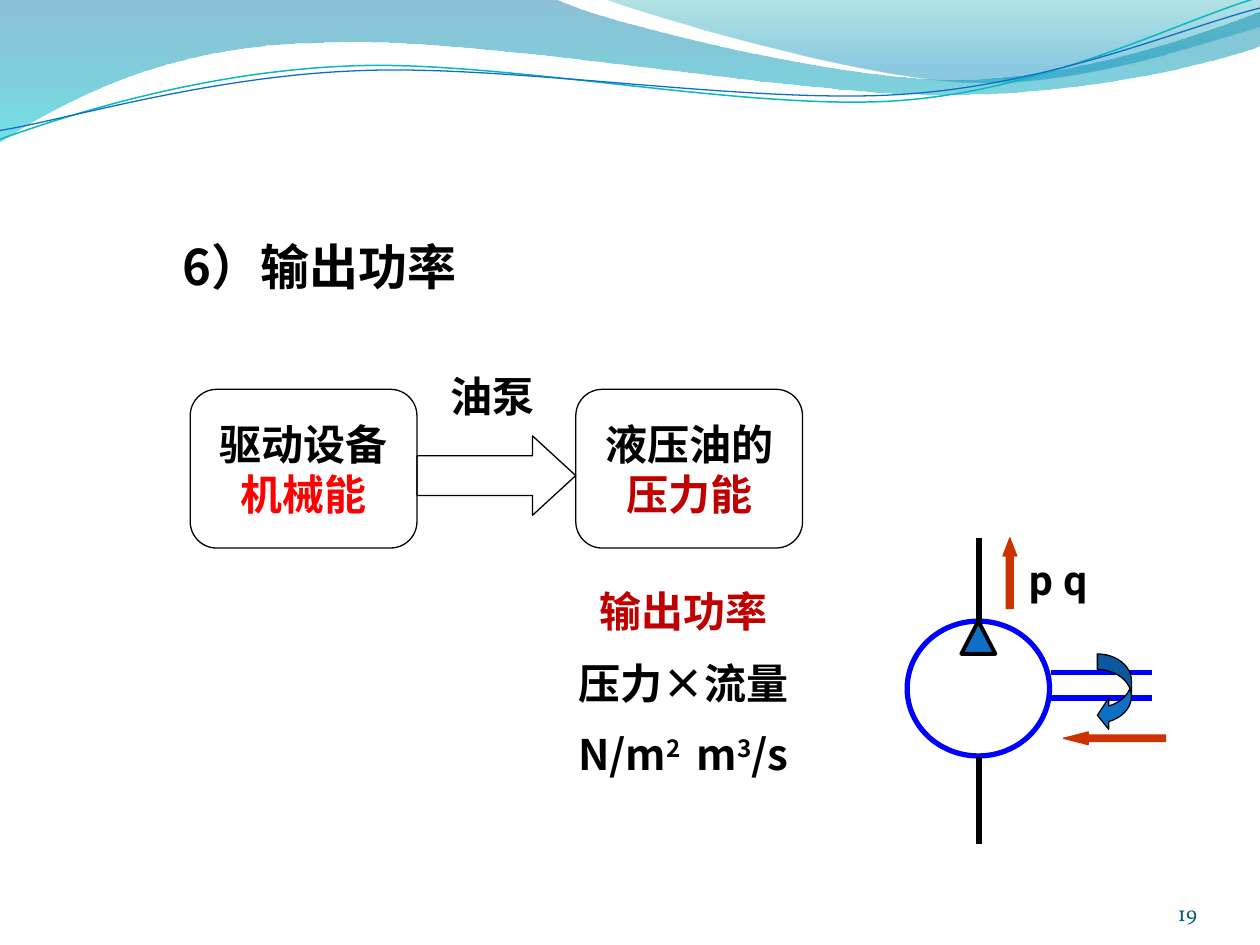
from lxml.etree import SubElement
from pptx import Presentation
from pptx.dml.color import RGBColor
from pptx.enum.shapes import MSO_CONNECTOR, MSO_SHAPE as Shape
from pptx.enum.text import MSO_ANCHOR as Anchor, PP_ALIGN as Align
from pptx.oxml.ns import qn
from pptx.util import Inches, Pt

COLORS = {
    "black": "000000", "blue": "0F6FC6", "pump": "0000FF", "flow": "CC3300",
    "red": "FF0000", "dark_red": "C00000", "number": "045D75",
    "wave_teal": "0AB8BF", "deep": "0074A1", "cyan": "00C6CF",
    "teal": "00A1A9", "sky": "008BBF",
}
CJK = "Noto Sans CJK SC"


def rgb(name):
    return RGBColor.from_string(COLORS[name])


def add_text(paragraph, text, size=24, color="black", font=CJK, bold=True,
             raised=False, spacing=0):
    """Add one formatted run to a paragraph."""
    run = paragraph.add_run()
    run.text = text
    run.font.size, run.font.bold, run.font.name = Pt(size), bold, font
    run.font.color.rgb = rgb(color)
    props = run.font._element
    east_asian = props.makeelement(qn("a:ea"), {"typeface": font})
    props.find(qn("a:latin")).addnext(east_asian)
    if raised:
        props.set("baseline", "30000")
    if spacing:
        props.set("spc", str(spacing * 100))


class Board:
    """Holds the slide and draws each kind of element in its style."""

    def __init__(self, slide):
        self.shapes = slide.shapes

    def style(self, shape, fill=None, line=None, width=0.75):
        shape.shadow.inherit = False
        if fill:
            shape.fill.solid()
            shape.fill.fore_color.rgb = rgb(fill)
        else:
            shape.fill.background()
        if line:
            shape.line.color.rgb = rgb(line)
            shape.line.width = Pt(width)
        else:
            shape.line.fill.background()

    def wave(self, start, segments, gradient=None, rotation=0, **look):
        """A segment is a line end (x, y) or a cubic curve of six numbers."""
        builder = self.shapes.build_freeform(*map(Inches, start), scale=1.0)
        ends = [tuple(map(Inches, segment[-2:])) for segment in segments]
        builder.add_line_segments(ends, close=bool(gradient))
        shape = builder.convert_to_shape()
        self.style(shape, **look)
        shape.rotation = rotation

        # Bend the straight segments that have control points
        lines = list(shape._element.iter(qn("a:lnTo")))
        for line, segment in zip(lines, segments):
            if len(segment) == 2:
                continue
            curve = line.makeelement(qn("a:cubicBezTo"), {})
            for x, y in zip(segment[::2], segment[1::2]):
                SubElement(curve, qn("a:pt"), x=str(Inches(x) - shape.left),
                           y=str(Inches(y) - shape.top))
            line.getparent().replace(line, curve)

        if gradient:
            no_fill = shape._element.spPr.find(qn("a:noFill"))
            grad = no_fill.makeelement(qn("a:gradFill"), {"rotWithShape": "1"})
            stops = SubElement(grad, qn("a:gsLst"))
            for position, color, alpha in gradient:
                stop = SubElement(stops, qn("a:gs"), pos=str(position * 1000))
                tint = SubElement(stop, qn("a:srgbClr"), val=COLORS[color])
                SubElement(tint, qn("a:alpha"), val=str(alpha * 1000))
            SubElement(grad, qn("a:lin"), ang="5400000", scaled="0")
            no_fill.getparent().replace(no_fill, grad)

    def shape(self, kind, box, adjust=(), **look):
        shape = self.shapes.add_shape(kind, *map(Inches, box))
        for index, value in enumerate(adjust):
            shape.adjustments[index] = value
        self.style(shape, **look)
        return shape

    def line(self, start, end, color):
        line = self.shapes.add_connector(
            MSO_CONNECTOR.STRAIGHT, *map(Inches, start + end))
        line.line.color.rgb = rgb(color)
        line.line.width = Pt(3)
        SubElement(line._element.spPr, qn("a:effectLst"))

    def energy(self, left, source, kind, color):
        box = self.shape(Shape.ROUNDED_RECTANGLE, (left, 3.09, 1.8, 1.26),
                         line="black")
        frame = box.text_frame
        frame.word_wrap = False
        frame.vertical_anchor = Anchor.MIDDLE
        first, second = frame.paragraphs[0], frame.add_paragraph()
        first.alignment = second.alignment = Align.CENTER
        add_text(first, source)
        add_text(second, kind, color=color)

    def text(self, box, *lines, align=Align.LEFT):
        """Each line is a list of (text, format) pairs."""
        frame = self.shapes.add_textbox(*map(Inches, box)).text_frame
        frame.word_wrap = True
        for index, runs in enumerate(lines):
            paragraph = frame.add_paragraph() if index else frame.paragraphs[0]
            paragraph.alignment = align
            if index:
                paragraph.space_before = Pt(12)
            for words, look in runs:
                add_text(paragraph, words, **look)
        return frame


def main():
    deck = Presentation()
    deck.slide_width, deck.slide_height = Inches(10), Inches(7.5)
    board = Board(deck.slides.add_slide(deck.slide_layouts[6]))

    # Wave header
    board.wave((0, -0.01), [
        (4.4, -0.01), (4.76, 0.17, 6.64, 0.63, 7.58, 0.63),
        (8.53, 0.63, 9.58, 0.26, 10, 0.09), (10.01, 0.36),
        (9.83, 0.44, 8.7, 0.76, 7.46, 0.75),
        (6.22, 0.75, 3.82, 0.28, 2.57, 0.34),
        (1.29, 0.35, 0.46, 0.83, -0.01, 1.13),
    ], gradient=[(0, "deep", 45), (100, "cyan", 55)])
    board.wave((4.79, -0.01), [
        (5.09, 0.11, 6.82, 0.62, 7.69, 0.65),
        (8.56, 0.69, 9.61, 0.32, 10, 0.21), (10, 0),
    ], gradient=[(0, "teal", 30), (80, "sky", 45)])
    board.wave((-0.02, 0.87), [
        (0.47, 0.72, 1.58, 0.41, 2.77, 0.42),
        (3.96, 0.42, 5.91, 0.93, 7.12, 0.9),
        (8.32, 0.87, 9.4, 0.36, 10, 0.22),
    ], rotation=357.3, line="wave_teal", width=0.85)
    board.wave((-0.02, 0.8), [
        (0.46, 0.75, 1.64, 0.45, 2.83, 0.46),
        (4.03, 0.46, 5.96, 0.88, 7.16, 0.85),
        (8.35, 0.83, 9.42, 0.42, 10.02, 0.3),
    ], rotation=357.3, line="blue")

    # Heading
    heading = board.text((0.92, 1.83, 8.33, 0.67), [("6）输出功率", {"size": 28})])
    indents = heading.paragraphs[0]._p.get_or_add_pPr()
    indents.set("marL", str(Inches(0.7)))
    indents.set("indent", str(Inches(-0.27)))

    # Pump symbol with its shaft and pipes
    board.shape(Shape.OVAL, (7.2, 4.93, 1.13, 1.07), line="pump", width=3)
    board.shape(Shape.ISOSCELES_TRIANGLE, (7.63, 4.93, 0.27, 0.26),
                fill="blue", line="black", width=2.25)
    for y in (5.34, 5.54):
        board.line((8.34, y), (9.14, y), "pump")
    for top, bottom in ((6.01, 6.7), (4.27, 4.93)):
        board.line((7.77, top), (7.77, bottom), "black")

    # Rotation and flow arrows
    board.shape(Shape.CURVED_LEFT_ARROW, (8.71, 5.19, 0.27, 0.61),
                (0.457, 0.913, 0.333), fill="blue", line="black")
    board.shape(Shape.UP_ARROW, (7.96, 4.27, 0.11, 0.56), (0.5, 1.304),
                fill="flow", line="flow")
    board.shape(Shape.LEFT_ARROW, (8.44, 5.81, 0.81, 0.1), (0.5, 1.962),
                fill="flow", line="flow")
    board.text((8.07, 4.34, 0.8, 0.44), [("p q", {"font": "Roboto"})])

    # Energy conversion
    board.shape(Shape.RIGHT_ARROW, (3.31, 3.46, 1.26, 0.63), (0.5, 0.544),
                line="black")
    board.energy(1.51, "驱动设备", "机械能", "red")
    board.energy(4.57, "液压油的", "压力能", "dark_red")
    board.text((3.48, 2.89, 0.9, 0.51), [("油泵", {})])

    # Output power and its units
    board.text((4.39, 4.6, 2.07, 1.78),
               [("输出功率", {"color": "dark_red"})],
               [("压力×流量", {})],
               [("N/m", {}), ("2 ", {"raised": True, "spacing": 3}),
                ("m", {}), ("3", {"raised": True}), ("/s", {})],
               align=Align.CENTER)

    # Slide number
    number = board.text(
        (8.67, 6.95, 0.83, 0.4),
        [("19", {"size": 12, "color": "number", "font": "Vollkorn", "bold": False})],
        align=Align.RIGHT)
    number.vertical_anchor = Anchor.BOTTOM
    number.margin_left = number.margin_right = 0
    number.margin_top = number.margin_bottom = 0

    deck.save("out.pptx")


if __name__ == "__main__":
    main()
